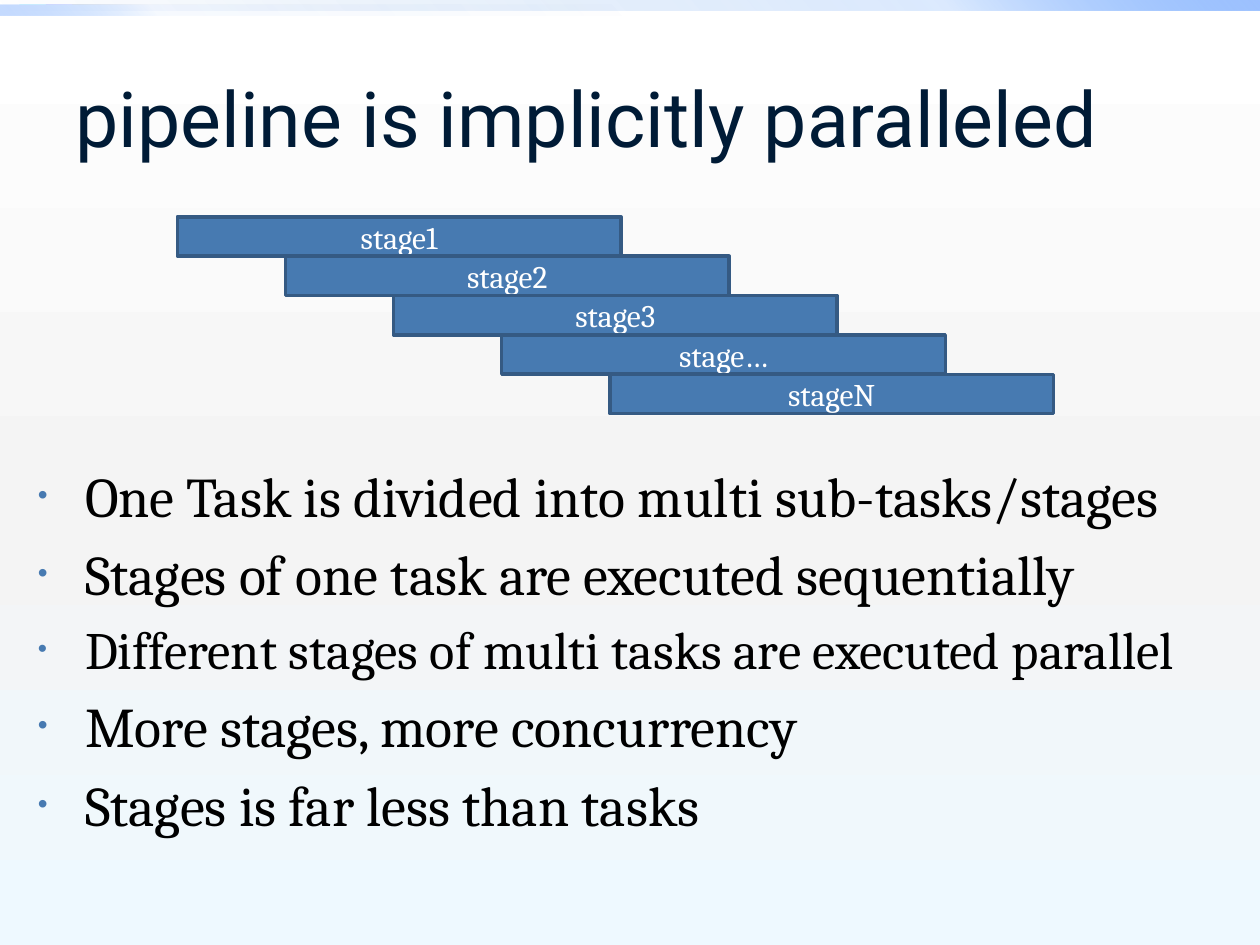
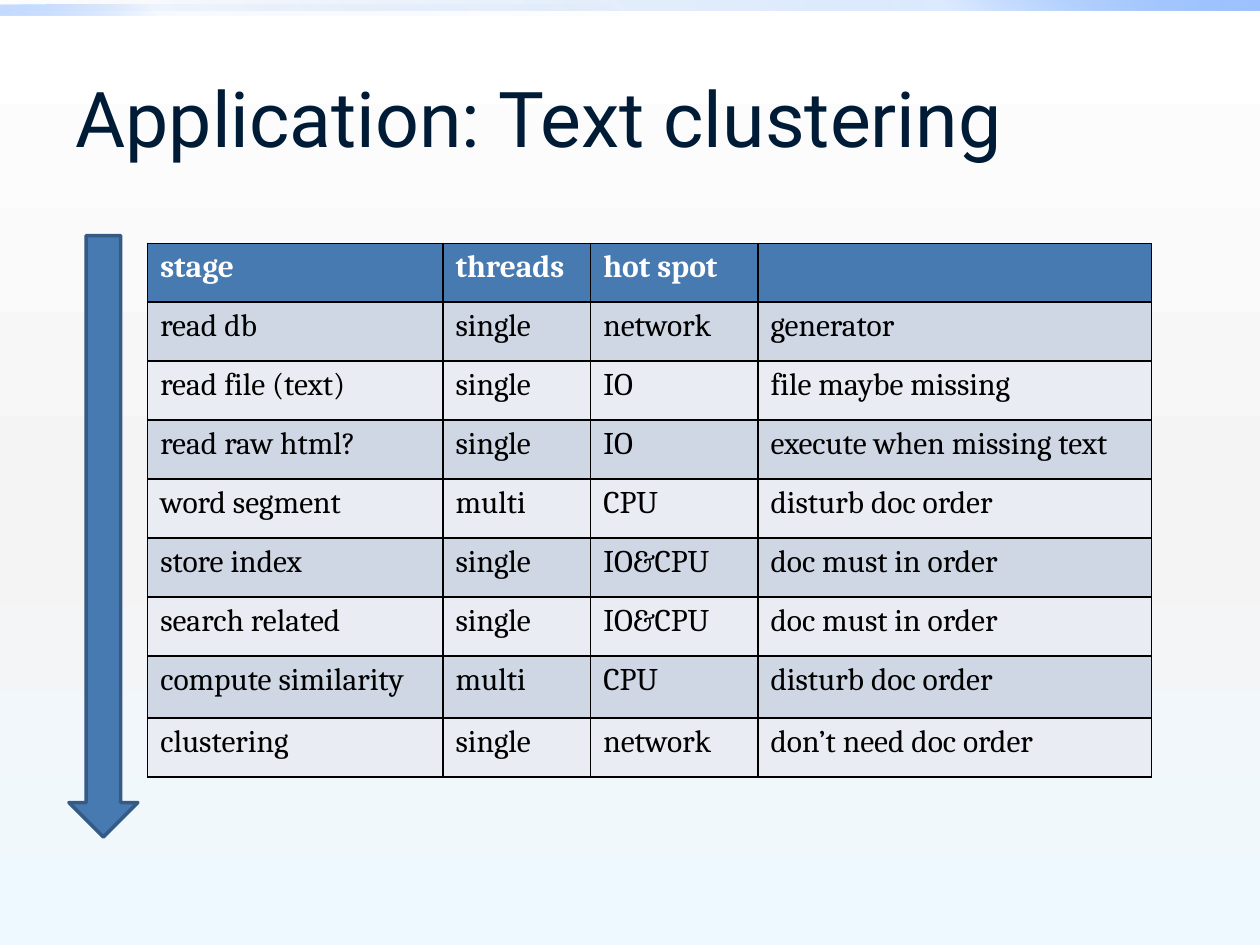
import pptx
import pptx.util
import pptx.dml.color
import pptx.enum.shapes
import pptx.enum.text
import pptx.oxml
import pptx.oxml.ns
from dataclasses import dataclass

Pt = pptx.util.Pt
qn = pptx.oxml.ns.qn
SHAPE = pptx.enum.shapes.MSO_SHAPE
ALIGN = pptx.enum.text.PP_ALIGN
ANCHOR = pptx.enum.text.MSO_ANCHOR
NS = pptx.oxml.ns.nsdecls("a")


@dataclass(frozen=True)
class Theme:
    # Colours
    title: str = "001B36"
    text: str = "000000"
    light: str = "FFFFFF"
    accent: str = "477AB1"
    outline: str = "355A83"
    grid: str = "000000"
    rows: tuple = ("CFD7E4", "E9ECF2")
    # Gradients: position, colour, opacity in percent
    page: tuple = ((0, "FFFFFF", 100), (55, "F4F4F4", 100), (100, "EEF9FF", 100))
    top_band: tuple = ((0, "0058B7", 0), (75, "4F95FF", 20), (100, "9EC2FF", 100))
    left_band: tuple = ((0, "0058B7", 0), (75, "4F95FF", 5), (100, "9EC2FF", 60))
    # Type
    title_font: str = "Roboto"
    body_font: str = "Cambria"
    title_size: float = 44
    body_size: float = 32
    tight_size: float = 30
    label_size: float = 18


T = Theme()

STAGES = ["stage1", "stage2", "stage3", "stage…", "stageN"]
POINTS = [
    ("One Task is divided into multi sub-tasks/stages", T.body_size),
    ("Stages of one task are executed sequentially", T.body_size),
    ("Different stages of multi tasks are executed parallel", T.tight_size),
    ("More stages, more concurrency", T.body_size),
    ("Stages is far less than tasks", T.body_size),
]
CLUSTERING = [
    ("stage", "threads", "hot spot", ""),
    ("read db", "single", "network", "generator"),
    ("read file (text)", "single", "IO", "file maybe missing"),
    ("read raw html?", "single", "IO", "execute when missing text"),
    ("word segment", "multi", "CPU", "disturb doc order"),
    ("store index", "single", "IO&CPU", "doc must in order"),
    ("search related", "single", "IO&CPU", "doc must in order"),
    ("compute similarity", "multi", "CPU", "disturb doc order"),
    ("clustering", "single", "network", "don’t need doc order"),
]


def rgb(color):
    return pptx.dml.color.RGBColor.from_string(color)


def write(p, text, size=T.label_size, font=T.body_font, color=T.text,
          bold=False, align=ALIGN.LEFT):
    """Add a formatted run to paragraph p."""
    p.alignment = align
    r = p.add_run()
    r.text = text
    r.font.size = Pt(size)
    r.font.name = font
    r.font.bold = bold
    r.font.color.rgb = rgb(color)


def set_gradient(fill, props, stops, angle):
    """Swap the solid fill inside props for a linear gradient."""
    fill.solid()
    gs = "".join(
        f'<a:gs pos="{pos * 1000}"><a:srgbClr val="{color}">'
        f'<a:alpha val="{alpha * 1000}"/></a:srgbClr></a:gs>'
        for pos, color, alpha in stops)
    gradient = pptx.oxml.parse_xml(
        f'<a:gradFill {NS} rotWithShape="1"><a:gsLst>{gs}</a:gsLst>'
        f'<a:lin ang="{angle * 60000}" scaled="0"/></a:gradFill>')
    props.replace(props.find(qn("a:solidFill")), gradient)


def place(sp, box):
    sp.left, sp.top, sp.width, sp.height = map(Pt, box)


def add_block(s, kind, box):
    """Accent-coloured shape with a darker outline."""
    sp = s.shapes.add_shape(kind, *map(Pt, box))
    sp.shadow.inherit = False
    sp.fill.solid()
    sp.fill.fore_color.rgb = rgb(T.accent)
    sp.line.color.rgb = rgb(T.outline)
    sp.line.width = Pt(2)
    return sp


# Shared slide frame
def add_bands(s):
    bands = [((0, 0, 720, 5.8), T.top_band, 315),
             ((0, 2.9, 360, 5.8), T.left_band, 135)]
    for box, stops, angle in bands:
        sp = s.shapes.add_shape(SHAPE.RECTANGLE, *map(Pt, box))
        sp.shadow.inherit = False
        sp.line.fill.background()
        set_gradient(sp.fill, sp.element.spPr, stops, angle)


def new_slide(prs, layout, title):
    s = prs.slides.add_slide(prs.slide_layouts.get_by_name(layout))
    add_bands(s)
    sp = s.shapes.title
    place(sp, (36, 21.6, 648, 90))
    tf = sp.text_frame
    tf.auto_size = pptx.enum.text.MSO_AUTO_SIZE.NONE
    tf.vertical_anchor = ANCHOR.MIDDLE
    write(tf.paragraphs[0], title, size=T.title_size, font=T.title_font,
          color=T.title)
    return s


# Staircase of overlapping stages
def add_staircase(s, box, labels, bar_width):
    left, top, width, height = box
    step_x = (width - bar_width) / (len(labels) - 1)
    step_y = height / len(labels)
    for i, label in enumerate(labels):
        bar = (left + i * step_x, top + i * step_y, bar_width, step_y)
        tf = add_block(s, SHAPE.RECTANGLE, bar).text_frame
        tf.vertical_anchor = ANCHOR.MIDDLE
        write(tf.paragraphs[0], label, color=T.light, align=ALIGN.CENTER)


# Bulleted list in the body placeholder
def add_points(s, box, points):
    sp = s.placeholders[1]
    place(sp, box)
    tf = sp.text_frame
    tf.auto_size = pptx.enum.text.MSO_AUTO_SIZE.NONE
    for i, (text, size) in enumerate(points):
        p = tf.add_paragraph() if i else tf.paragraphs[0]
        write(p, text, size=size)
        pPr = p._p.get_or_add_pPr()
        pPr.set("marL", str(Pt(27)))
        pPr.set("indent", str(-Pt(27)))
        for xml in (f'<a:spcBef {NS}><a:spcPct val="20000"/></a:spcBef>',
                    f'<a:buClr {NS}><a:srgbClr val="{T.accent}"/></a:buClr>',
                    f'<a:buSzPct {NS} val="50000"/>',
                    f'<a:buChar {NS} char="•"/>'):
            pPr.append(pptx.oxml.parse_xml(xml))


# Table of stages
def set_borders(cell):
    tcPr = cell._tc.get_or_add_tcPr()
    for i, side in enumerate("LRTB"):
        tcPr.insert(i, pptx.oxml.parse_xml(
            f'<a:ln{side} {NS} w="{Pt(1)}"><a:solidFill>'
            f'<a:srgbClr val="{T.grid}"/></a:solidFill></a:ln{side}>'))


def add_stage_table(s, box, rows, col_widths, row_heights):
    table = s.shapes.add_table(len(rows), len(col_widths), *map(Pt, box)).table
    for col, width in zip(table.columns, col_widths):
        col.width = Pt(width)
    for i, (row, height) in enumerate(zip(rows, row_heights)):
        table.rows[i].height = Pt(height)
        header = i == 0
        for j, text in enumerate(row):
            cell = table.cell(i, j)
            cell.fill.solid()
            cell.fill.fore_color.rgb = rgb(
                T.accent if header else T.rows[(i - 1) % 2])
            set_borders(cell)
            if text:
                write(cell.text_frame.paragraphs[0], text, bold=header,
                      color=T.light if header else T.text)


def build_pipeline(prs):
    s = new_slide(prs, "Title and Content", "pipeline is implicitly paralleled")
    add_points(s, (14.4, 260, 705.6, 248.4), POINTS)
    add_staircase(s, (101.3, 123.9, 500.7, 112.5), STAGES, bar_width=253.5)


def build_application(prs):
    s = new_slide(prs, "Title Only", "Application: Text clustering")
    add_stage_table(s, (84.4, 139, 573.8, 305.3), CLUSTERING,
                    (168.75, 84.4, 95.6, 225), [33.7] * 7 + [35.6, 33.7])
    add_block(s, SHAPE.DOWN_ARROW, (39.4, 134.6, 39.4, 343.7))


def main():
    prs = pptx.Presentation()
    prs.slide_width, prs.slide_height = Pt(720), Pt(540)
    master = prs.slide_master
    fill = master.background.fill
    set_gradient(fill, master.element.find(".//" + qn("p:bgPr")), T.page, 90)
    build_pipeline(prs)
    build_application(prs)
    prs.save("out.pptx")


if __name__ == "__main__":
    main()
